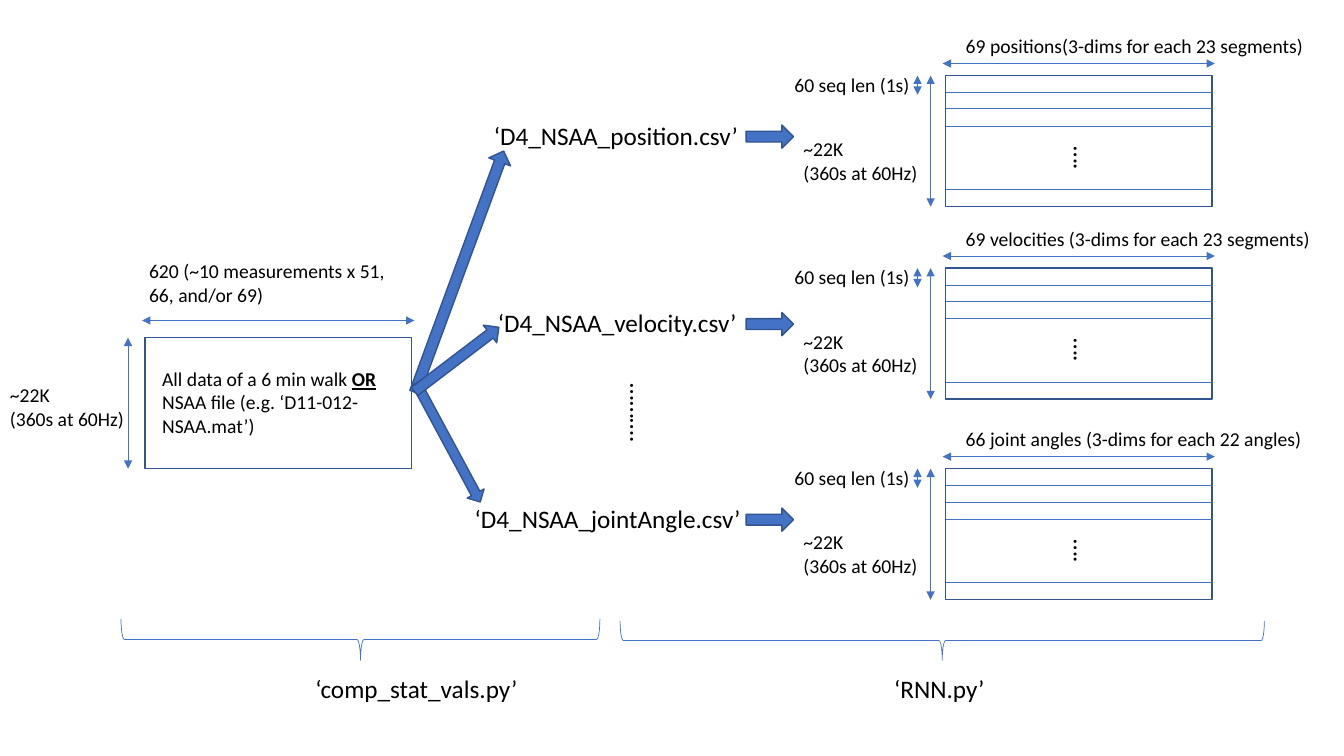
import pptx
import pptx.dml.color
import pptx.enum.dml
import pptx.enum.shapes
import pptx.oxml
import pptx.oxml.ns
import pptx.util
from pptx.util import Inches

BLUE = pptx.dml.color.RGBColor(0x44, 0x72, 0xC4)
DARK_BLUE = pptx.dml.color.RGBColor(0x32, 0x54, 0x91)
WHITE = pptx.dml.color.RGBColor(0xFF, 0xFF, 0xFF)
BLACK = pptx.dml.color.RGBColor(0, 0, 0)
SHAPES = pptx.enum.shapes.MSO_SHAPE
BOX_WIDTH, BOX_HEIGHT = 2.64, 1.3
DURATION = ["~22K", "(360s at 60Hz)"]


def add_text(slide, left, top, width, height, paragraphs, size=14, rotation=0):
    """Add a text box; a paragraph is a string or a list of (text, format) runs."""
    box = slide.shapes.add_textbox(Inches(left), Inches(top), Inches(width), Inches(height))
    box.rotation = rotation
    frame = box.text_frame
    frame.word_wrap = True
    for index, content in enumerate(paragraphs):
        paragraph = frame.paragraphs[0] if index == 0 else frame.add_paragraph()
        for text, extra in [(content, {})] if isinstance(content, str) else content:
            run = paragraph.add_run()
            run.text = text
            run.font.color.rgb = BLACK
            for name, value in {"name": "Calibri", "size": pptx.util.Pt(size), **extra}.items():
                setattr(run.font, name, value)


def add_line(slide, start, end, arrows=False):
    """Add a thin blue line, with triangles at both ends if asked."""
    line = slide.shapes.add_connector(
        pptx.enum.shapes.MSO_CONNECTOR.STRAIGHT, *(Inches(value) for value in start + end))
    line.line.color.rgb = BLUE
    line.line.width = pptx.util.Pt(0.5)
    properties = line.element.spPr
    properties.append(pptx.oxml.parse_xml(f"<a:effectLst {pptx.oxml.ns.nsdecls('a')}/>"))
    if arrows:
        for tag in ("headEnd", "tailEnd"):
            properties.find(pptx.oxml.ns.qn("a:ln")).append(pptx.oxml.parse_xml(
                f'<a:{tag} {pptx.oxml.ns.nsdecls("a")} type="triangle"/>'))


def add_shape(slide, kind, left, top, width, height, fill=None, line=DARK_BLUE, weight=1, rotation=0):
    """Add a preset shape without shadow."""
    shape = slide.shapes.add_shape(kind, Inches(left), Inches(top), Inches(width), Inches(height))
    shape.shadow.inherit = False
    shape.rotation = rotation
    if fill is None:
        shape.fill.background()
    else:
        shape.fill.solid()
        shape.fill.fore_color.rgb = fill
    shape.line.color.rgb = line
    shape.line.width = pptx.util.Pt(weight)
    return shape


def add_block_arrow(slide, left, top, width, height, rotation):
    """Add a filled arrow turned from pointing down."""
    return add_shape(slide, SHAPES.DOWN_ARROW, left, top, width, height, fill=BLUE, rotation=rotation)


def add_measured_box(slide, left, top, across_gap, down_gap):
    """Add a white box with a width arrow above it and a height arrow on its left."""
    add_shape(slide, SHAPES.RECTANGLE, left, top, BOX_WIDTH, BOX_HEIGHT, fill=WHITE)
    add_line(slide, (left - 0.03, top - across_gap), (left + BOX_WIDTH + 0.03, top - across_gap), True)
    add_line(slide, (left - down_gap, top), (left - down_gap, top + BOX_HEIGHT), True)


def add_source_file(slide, left, top):
    """Add the box for the input file with its dimensions."""
    add_measured_box(slide, left, top, 0.17, 0.17)
    add_text(slide, left + 0.07, top + 0.24, 2.49, 0.81, [[
        ("All data of a 6 min walk ", {}),
        ("OR", {"bold": True, "underline": True}),
        (" NSAA file (e.g. ‘D11-012-NSAA.mat’)", {})]])
    add_text(slide, left - 1.44, top + 0.4, 1.4, 0.57, DURATION)
    add_text(slide, left - 0.06, top - 0.83, 2.75, 0.57, ["620 (~10 measurements x 51, 66, and/or 69)"])


def add_sequence_matrix(slide, left, top, title):
    """Add a matrix split into sequences, with its title and dimensions."""
    add_measured_box(slide, left, top, 0.12, 0.15)
    for offset in (0.17, 0.33, 0.5, 1.13):
        add_line(slide, (left, top + offset), (left + BOX_WIDTH, top + offset))
    add_line(slide, (left - 0.28, top), (left - 0.28, top + 0.19), True)
    add_text(slide, left + 0.1, top - 0.46, 3.66, 0.34, [title])
    add_text(slide, left - 1.51, top + 0.56, 1.4, 0.57, DURATION)
    add_text(slide, left - 1.6, top - 0.08, 1.38, 0.34, ["60 seq len (1s)"])
    add_text(slide, left + 1.13, top + 0.64, 0.48, 0.4, ["…."], 18, 90)


def add_csv_file(slide, left, top, name):
    """Add a file name and the arrow to its matrix."""
    add_text(slide, left, top, 2.87, 0.4, [name], 18)
    add_block_arrow(slide, 7.52, top - 0.02, 0.23, 0.47, 270).adjustments[0] = 0.466


def add_fan(slide):
    """Add the three arrows from the input file to the file names."""
    for left, top, width, height, rotation, shaft in (
            (4.44, 1.42, 0.23, 2.55, 200.2, 0.466),
            (4.35, 3.72, 0.19, 1.34, 331.7, 0.5),
            (4.42, 3.04, 0.22, 1.05, 232.7, 0.466)):
        add_block_arrow(slide, left, top, width, height, rotation).adjustments[0] = shaft


def add_stage(slide, left, top, width, depth, label, label_left):
    """Add a brace opening upwards and the script name below it."""
    add_shape(slide, SHAPES.RIGHT_BRACE, left + (width - depth) / 2, top + (depth - width) / 2,
              depth, width, line=BLUE, weight=0.5, rotation=90)
    add_text(slide, label_left, 6.63, 2.32, 0.4, [label], 18)


def main():
    """Build the slide and save it."""
    presentation = pptx.Presentation()
    presentation.slide_width, presentation.slide_height = Inches(13.33), Inches(7.5)
    slide = presentation.slides.add_slide(presentation.slide_layouts[6])
    add_source_file(slide, 1.44, 3.35)
    for top, title, name_left, name_top, name in (
            (0.75, "69 positions(3-dims for each 23 segments)", 4.8, 1.14, "‘D4_NSAA_position.csv’"),
            (2.66, "69 velocities (3-dims for each 23 segments)", 4.84, 3, "‘D4_NSAA_velocity.csv’"),
            (4.65, "66 joint angles (3-dims for each 22 angles)", 4.61, 4.94, "‘D4_NSAA_jointAngle.csv’")):
        add_sequence_matrix(slide, 9.38, top, title)
        add_csv_file(slide, name_left, name_top, name)
    add_text(slide, 5.74, 4.12, 1.22, 0.4, ["………."], 18, 90)
    add_fan(slide)
    add_stage(slide, 1.2, 6.14, 4.75, 0.41, "‘comp_stat_vals.py’", 3.03)
    add_stage(slide, 6.15, 6.16, 6.39, 0.39, "‘RNN.py’", 8.77)
    presentation.save("out.pptx")


if __name__ == "__main__":
    main()
